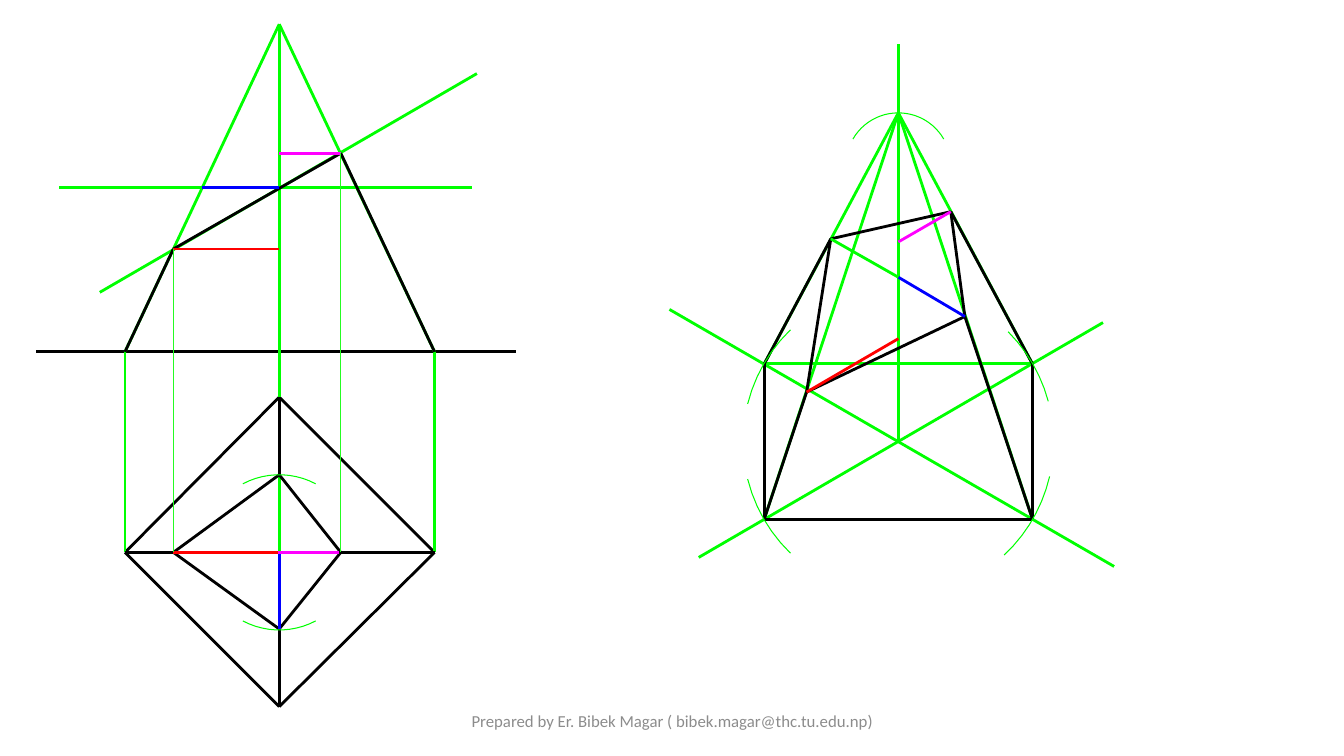
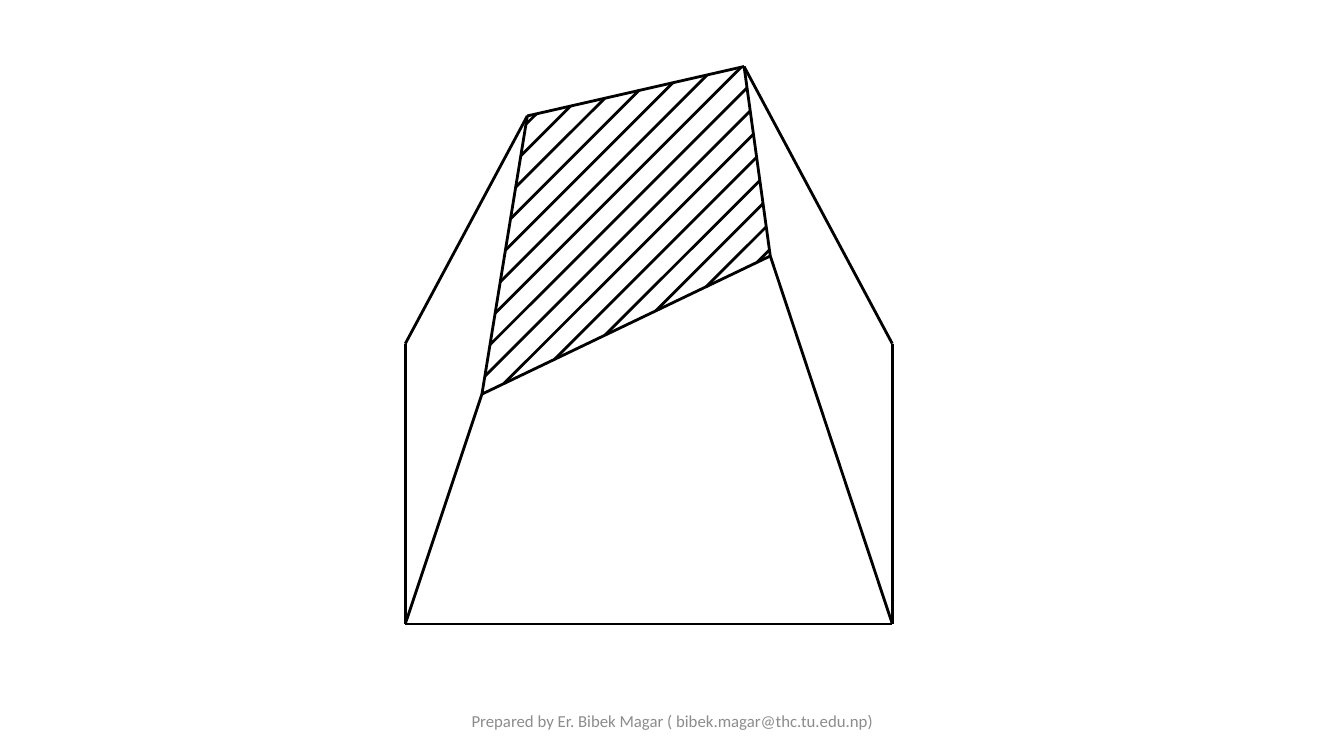
from dataclasses import dataclass
from math import cos, radians, sin

from lxml import etree
from pptx import Presentation
from pptx.dml.color import RGBColor
from pptx.enum.shapes import MSO_CONNECTOR
from pptx.enum.text import MSO_ANCHOR, PP_ALIGN
from pptx.oxml.ns import qn
from pptx.slide import Slide
from pptx.util import Pt

PX = 9144
SLIDE_WIDTH, SLIDE_HEIGHT = 1333, 750
BLANK_LAYOUT = 6
STRAIGHT = MSO_CONNECTOR.STRAIGHT
MIDDLE = MSO_ANCHOR.MIDDLE
CENTER = PP_ALIGN.CENTER

BLACK = RGBColor(0x00, 0x00, 0x00)
GREEN = RGBColor(0x00, 0xFF, 0x00)
PROJECTOR_GREEN = RGBColor(0x25, 0xFC, 0x22)
RED = RGBColor(0xFF, 0x00, 0x00)
BLUE = RGBColor(0x00, 0x00, 0xFF)
MAGENTA = RGBColor(0xFF, 0x00, 0xFF)
FOOTER_GREY = RGBColor(0x8C, 0x8C, 0x8C)

FOOTER = "Prepared by Er. Bibek Magar ( bibek.magar@thc.tu.edu.np)"
HAIRLINE = 0
ARC_STEP = 5

Point = tuple[float, float]


@dataclass(frozen=True)
class Chain:
    points: tuple[Point, ...]
    color: RGBColor = BLACK
    weight: float = HAIRLINE


@dataclass(frozen=True)
class Arc:
    center: Point
    radius: int
    start: int
    end: int


def emu(length: float) -> int:
    return round(length * PX)


def draw_chain(slide: Slide, chain: Chain) -> None:
    for (x1, y1), (x2, y2) in zip(chain.points, chain.points[1:]):
        edge = slide.shapes.add_connector(
            STRAIGHT, emu(x1), emu(y1), emu(x2), emu(y2)
        )
        edge.line.color.rgb = chain.color
        edge.line.width = Pt(chain.weight)
        properties = edge._element.find(qn("p:spPr"))
        etree.SubElement(properties, qn("a:effectLst"))


def draw_arc(slide: Slide, arc: Arc) -> None:
    steps = max(1, round((arc.end - arc.start) / ARC_STEP))
    angles = [
        radians(arc.start + (arc.end - arc.start) * i / steps)
        for i in range(steps + 1)
    ]
    points = [
        (
            emu(arc.center[0] + arc.radius * cos(angle)),
            emu(arc.center[1] - arc.radius * sin(angle)),
        )
        for angle in angles
    ]
    builder = slide.shapes.build_freeform(*points[0], scale=1.0)
    builder.add_line_segments(points[1:], close=False)
    curve = builder.convert_to_shape()
    curve.shadow.inherit = False
    curve.fill.background()
    curve.line.color.rgb = GREEN
    curve.line.width = Pt(HAIRLINE)


def hatch(outline: tuple[Point, ...], first: int, step: float, count: int) -> list[Chain]:
    lines = []
    for i in range(count):
        level = first + step * i
        crossings = []
        for (x1, y1), (x2, y2) in zip(outline, outline[1:]):
            low, high = x1 + y1, x2 + y2
            if min(low, high) < level <= max(low, high):
                share = (level - low) / (high - low)
                crossings.append((x1 + share * (x2 - x1), y1 + share * (y2 - y1)))
        lines.append(Chain(tuple(sorted(crossings))))
    return lines


def add_drawing_slide(presentation) -> Slide:
    slide = presentation.slides.add_slide(presentation.slide_layouts[BLANK_LAYOUT])
    credit = slide.shapes.add_textbox(emu(442), emu(695), emu(450), emu(40))
    frame = credit.text_frame
    frame.word_wrap = True
    frame.vertical_anchor = MIDDLE
    paragraph = frame.paragraphs[0]
    paragraph.alignment = CENTER
    run = paragraph.add_run()
    run.text = FOOTER
    run.font.name = "Calibri"
    run.font.size = Pt(12)
    run.font.color.rgb = FOOTER_GREY
    return slide


def draw_projections(slide: Slide) -> None:
    apex, front_left, front_right = (277, 24), (124, 349), (431, 349)
    cut_low, cut_high = (172, 247), (338, 152)
    plan_center, plan_left, plan_right = (277, 548), (124, 548), (431, 548)
    plan_top, plan_bottom = (277, 394), (277, 701)
    cut_left, cut_right = (172, 548), (338, 548)
    cut_top, cut_bottom = (277, 471), (277, 624)
    orthographic = [
        Chain((plan_bottom, plan_right, plan_top, plan_left, plan_bottom)),
        Chain(((36, 349), (512, 349))),
        Chain(((59, 186), (468, 186)), GREEN),
        Chain((plan_left, front_left, apex, front_right, plan_right), GREEN),
        Chain((plan_bottom, apex), GREEN),
        Chain(((99, 290), (473, 73)), GREEN),
        Chain((front_left, cut_low, cut_high, front_right)),
        Chain((plan_left, plan_right), GREEN),
        Chain((cut_left, cut_top, cut_right, cut_bottom, cut_left)),
        Chain((plan_top, cut_top)),
        Chain((plan_right, cut_right)),
        Chain((plan_bottom, cut_bottom)),
        Chain((plan_left, cut_left)),
    ]

    center, peak = (891, 438), (891, 112)
    back_left, back_right = (758, 361), (1024, 361)
    base_left, base_right = (758, 515), (1024, 515)
    near_left, near_right = (800, 389), (957, 314)
    far_right, far_left = (943, 210), (824, 237)
    isometric = [
        Chain(((693, 553), (1094, 320)), GREEN),
        Chain(((1105, 562), (664, 307)), GREEN),
        Chain((center, (891, 44)), GREEN),
        Chain((base_left, peak, back_right), GREEN),
        Chain((base_right, peak, back_left), GREEN),
        Chain((back_right, back_left), GREEN),
        Chain((back_left, base_left, base_right, back_right)),
        Chain((near_left, near_right, far_right, far_left, near_left)),
        Chain((back_left, far_left)),
        Chain((back_right, far_right)),
        Chain((base_left, near_left)),
        Chain((base_right, near_right)),
    ]

    measurements = [
        Chain((cut_low, (277, 247)), RED),
        Chain(((277, 186), (200, 186)), BLUE),
        Chain((cut_high, (277, 152)), MAGENTA),
        Chain((plan_center, cut_bottom), BLUE),
        Chain((near_right, (891, 275)), BLUE),
        Chain((far_right, (891, 240)), MAGENTA),
        Chain((near_left, (891, 336)), RED),
        Chain((plan_center, cut_left), RED),
        Chain(((891, 275), far_left), GREEN),
        Chain((cut_low, cut_left), PROJECTOR_GREEN, 0.5),
        Chain((cut_high, cut_right), PROJECTOR_GREEN, 0.5),
        Chain(((336, 548), (276, 548)), MAGENTA),
    ]
    arcs = [
        Arc(plan_center, 77, 62, 118),
        Arc(plan_center, 77, 242, 298),
        Arc(center, 154, 134, 166),
        Arc(center, 154, 194, 226),
        Arc(center, 154, 313, 347),
        Arc(center, 154, 15, 45),
        Arc((891, 164), 52, 30, 150),
    ]
    for chain in orthographic + isometric:
        draw_chain(slide, chain)
    for arc in arcs:
        draw_arc(slide, arc)
    for chain in measurements:
        draw_chain(slide, chain)


def draw_truncated_pyramid(slide: Slide) -> None:
    back_left, back_right = (402, 341), (885, 341)
    base_left, base_right = (402, 619), (885, 619)
    near_left, near_right = (478, 391), (764, 254)
    far_right, far_left = (738, 66), (523, 115)
    section = (near_left, near_right, far_right, far_left, near_left)
    edges = [
        Chain(section),
        Chain((far_left, back_left, base_left, base_right, back_right, far_right)),
        Chain((base_left, near_left)),
        Chain((base_right, near_right)),
    ]
    for chain in hatch(section, 645, 26.15, 15) + edges:
        draw_chain(slide, chain)


def main() -> None:
    presentation = Presentation()
    presentation.slide_width = emu(SLIDE_WIDTH)
    presentation.slide_height = emu(SLIDE_HEIGHT)
    for draw in (draw_projections, draw_truncated_pyramid):
        draw(add_drawing_slide(presentation))
    presentation.save("out.pptx")


if __name__ == "__main__":
    main()
